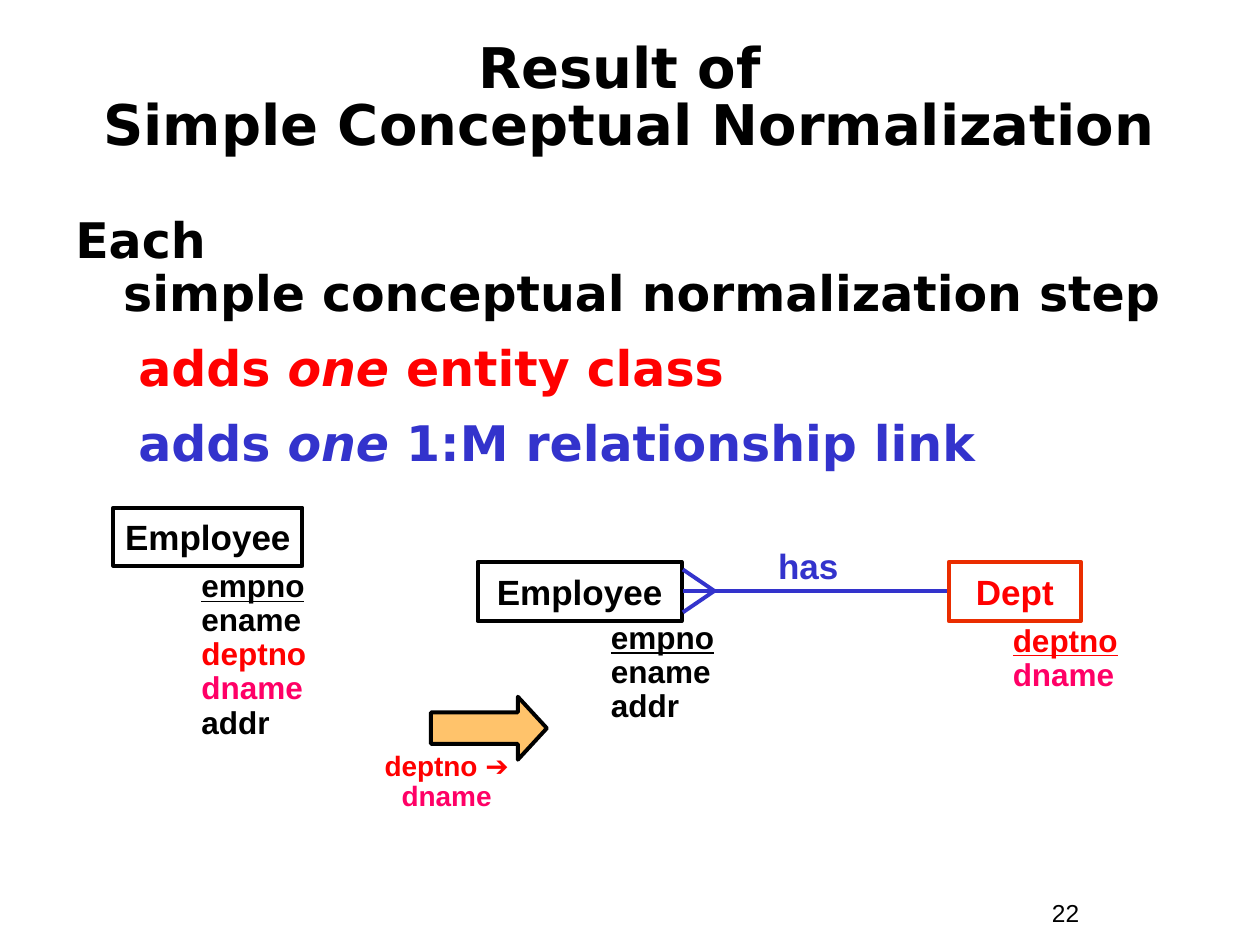
from pptx import Presentation
from pptx.dml.color import RGBColor
from pptx.enum.shapes import MSO_CONNECTOR as Connector, MSO_SHAPE as Shape
from pptx.enum.text import MSO_ANCHOR as Anchor, PP_ALIGN as Align
from pptx.oxml.ns import qn
from pptx.util import Inches, Pt
from lxml import etree

COLORS = {
    "black": "000000",
    "red": "FF0000",
    "pink": "FF0066",
    "blue": "3333CC",
    "dept_border": "EA2D00",
    "arrow": "FFC36B",
}
HEADING_FONT = "DejaVu Sans"
LABEL_FONT = "Arial"
LINE_WIDTH = Pt(2.25)


def color(name):
    return RGBColor.from_string(COLORS[name])


def add_run(paragraph, text, size, color_name="black", font=LABEL_FONT,
            bold=True, italic=False, underline=False):
    """Add one run; a newline in the text becomes a line break."""
    for index, line in enumerate(text.split("\n")):
        if index:
            paragraph.add_line_break()
        run = paragraph.add_run()
        run.text = line
        run.font.name = font
        run.font.size = Pt(size)
        run.font.bold = bold
        run.font.italic = italic
        run.font.underline = underline
        run.font.color.rgb = color(color_name)


def add_text_box(slide, left, top, width, height, anchor=Anchor.TOP):
    box = slide.shapes.add_textbox(
        Inches(left), Inches(top), Inches(width), Inches(height))
    frame = box.text_frame
    frame.word_wrap = True
    frame.vertical_anchor = anchor
    return frame


def format_paragraph(paragraph, align=Align.LEFT, spacing=1.0, before=0,
                     margin=0, indent=0):
    properties = paragraph._p.get_or_add_pPr()
    properties.set("marL", str(Inches(margin)))
    properties.set("indent", str(Inches(indent)))
    paragraph.alignment = align
    paragraph.line_spacing = spacing
    paragraph.space_before = Pt(before)


def add_outlined_shape(slide, kind, left, top, width, height,
                       line="black", fill=None):
    shape = slide.shapes.add_shape(
        kind, Inches(left), Inches(top), Inches(width), Inches(height))
    shape.shadow.inherit = False
    if fill:
        shape.fill.solid()
        shape.fill.fore_color.rgb = color(fill)
    else:
        shape.fill.background()
    shape.line.color.rgb = color(line)
    shape.line.width = LINE_WIDTH
    return shape


def add_entity(slide, name, left, top, width, height, text="black", line="black"):
    shape = add_outlined_shape(slide, Shape.RECTANGLE, left, top, width, height, line)
    frame = shape.text_frame
    frame.word_wrap = False
    frame.vertical_anchor = Anchor.MIDDLE
    format_paragraph(frame.paragraphs[0], Align.CENTER)
    add_run(frame.paragraphs[0], name, 20, text)


def add_attributes(slide, left, top, width, height, attributes):
    """List the attributes of an entity, with its key first and underlined."""
    frame = add_text_box(slide, left, top, width, height)
    for index, (name, color_name) in enumerate(attributes):
        paragraph = frame.add_paragraph() if index else frame.paragraphs[0]
        format_paragraph(paragraph, spacing=0.9)
        add_run(paragraph, name, 18, color_name, underline=index == 0)


def add_line(slide, x1, y1, x2, y2):
    connector = slide.shapes.add_connector(
        Connector.STRAIGHT, Inches(x1), Inches(y1), Inches(x2), Inches(y2))
    connector.line.color.rgb = color("blue")
    connector.line.width = LINE_WIDTH
    etree.SubElement(connector._element.spPr, qn("a:effectLst"))


def add_title(slide):
    frame = add_text_box(slide, 0.33, 0.33, 9.33, 0.92, Anchor.MIDDLE)
    format_paragraph(frame.paragraphs[0], Align.CENTER, 0.85)
    add_run(frame.paragraphs[0], "Result of \nSimple Conceptual Normalization",
            32, font=HEADING_FONT)


def add_body(slide):
    frame = add_text_box(slide, 0.5, 1.67, 9, 5)
    paragraph = frame.paragraphs[0]
    format_paragraph(paragraph, spacing=0.9, margin=0.38, indent=-0.38)
    add_run(paragraph, "Each \nsimple conceptual normalization step",
            28, font=HEADING_FONT)
    for ending, color_name in ((" entity class", "red"),
                               (" 1:M relationship link", "blue")):
        paragraph = frame.add_paragraph()
        paragraph.level = 1
        format_paragraph(paragraph, spacing=0.85, before=14,
                         margin=0.81, indent=-0.31)
        for text in ("adds ", "one", ending):
            add_run(paragraph, text, 28, color_name, HEADING_FONT,
                    italic=text == "one")


def add_relationship(slide):
    """Draw the 1:M link with a crow's foot at the Employee end."""
    middle, foot, edge = 4.69, 5.67, 5.42
    add_line(slide, 7.52, middle, edge, middle)
    for offset in (-0.17, 0.17):
        add_line(slide, foot, middle, edge, middle + offset)
    paragraph = add_text_box(slide, 5.58, 4.27, 1.67, 0.44).paragraphs[0]
    format_paragraph(paragraph, Align.CENTER)
    add_run(paragraph, "has", 20, "blue")


def add_step_arrow(slide):
    """Draw the arrow with the dependency that drives the step."""
    arrow = add_outlined_shape(slide, Shape.RIGHT_ARROW, 3.42, 5.53, 0.92, 0.5,
                               fill="arrow")
    arrow.adjustments[0] = 0.5
    arrow.adjustments[1] = 0.46
    paragraph = add_text_box(slide, 2.88, 5.92, 1.33, 0.58).paragraphs[0]
    format_paragraph(paragraph, Align.CENTER, 0.9)
    add_run(paragraph, "deptno ➔ ", 16, "red")
    add_run(paragraph, "dname", 16, "pink")


def add_page_number(slide):
    paragraph = add_text_box(slide, 8.25, 7.08, 0.92, 0.34).paragraphs[0]
    add_run(paragraph, "22", 14, bold=False)


def main():
    presentation = Presentation()
    presentation.slide_width = Inches(10)
    presentation.slide_height = Inches(7.5)
    slide = presentation.slides.add_slide(presentation.slide_layouts[6])

    add_page_number(slide)
    add_title(slide)
    add_body(slide)

    # Employee before the step
    add_entity(slide, "Employee", 0.9, 4.03, 1.5, 0.46)
    add_attributes(slide, 1.5, 4.48, 2.42, 1.45, [
        ("empno", "black"), ("ename", "black"), ("deptno", "red"),
        ("dname", "pink"), ("addr", "black")])

    # Employee and Dept after the step
    add_entity(slide, "Employee", 3.79, 4.46, 1.62, 0.47)
    add_relationship(slide)
    add_attributes(slide, 4.75, 4.89, 1.58, 0.91, [
        ("empno", "black"), ("ename", "black"), ("addr", "black")])
    add_entity(slide, "Dept", 7.53, 4.46, 1.05, 0.47, "red", "dept_border")
    add_attributes(slide, 7.94, 4.91, 1.14, 0.64, [
        ("deptno", "red"), ("dname", "pink")])

    add_step_arrow(slide)
    presentation.save("out.pptx")


if __name__ == "__main__":
    main()
